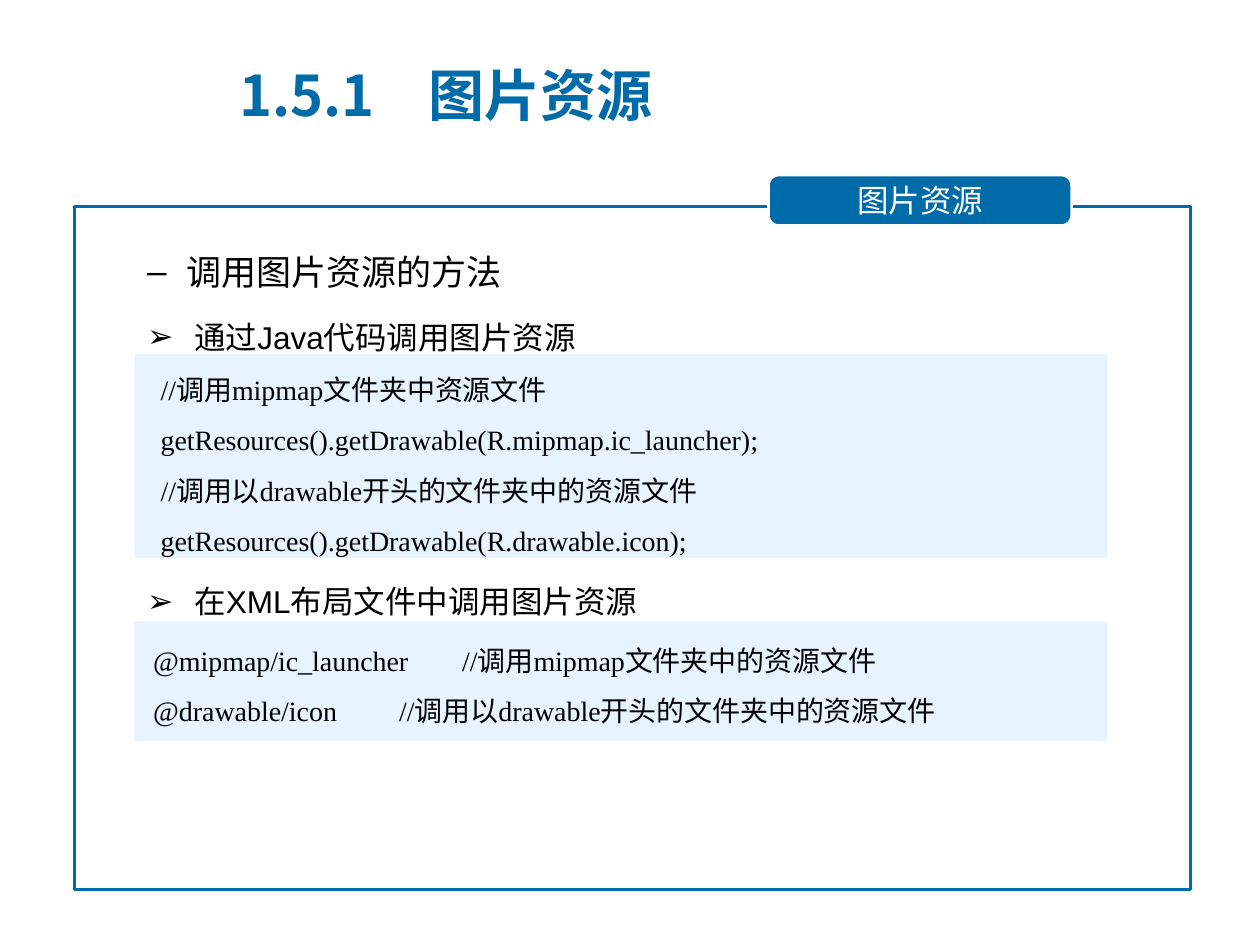
from dataclasses import dataclass

from lxml import etree
from pptx import Presentation
from pptx.dml.color import RGBColor
from pptx.enum.shapes import MSO_SHAPE
from pptx.enum.text import MSO_ANCHOR, MSO_AUTO_SIZE, PP_ALIGN
from pptx.oxml.ns import qn
from pptx.util import Pt

RECT, ROUNDED = MSO_SHAPE.RECTANGLE, MSO_SHAPE.ROUNDED_RECTANGLE
MIDDLE, NO_FIT = MSO_ANCHOR.MIDDLE, MSO_AUTO_SIZE.NONE
LEFT, CENTER = PP_ALIGN.LEFT, PP_ALIGN.CENTER


@dataclass(frozen=True)
class Theme:
    """Colours, fonts and type sizes of the slide."""
    blue: str = "006BA9"
    pale: str = "E7F4FF"
    white: str = "FFFFFF"
    black: str = "000000"
    cjk: str = "Noto Sans CJK SC"
    sans: str = "Arial"
    serif: str = "Times New Roman"
    title: int = 32
    heading: int = 20
    point: int = 18
    code: int = 16
    leading: float = 1.8


class SlideBuilder:
    """Holds the theme and the current slide and draws each kind of element."""

    def __init__(self, theme, slide):
        self.theme, self.slide = theme, slide

    def apply(self, target, values):
        """Set every attribute in a dict of format values."""
        for name, value in values.items():
            setattr(target, name, value)

    def place(self, shape, box):
        """Move and size a shape to a box in points."""
        self.apply(shape, dict(zip(("left", "top", "width", "height"), map(Pt, box))))

    def add_text(self, paragraph, text, size, font, color, bold=False):
        """Add one styled run to a paragraph."""
        run = paragraph.add_run()
        run.text = text
        self.apply(run.font, {"size": Pt(size), "name": font, "bold": bold})
        run.font.color.rgb = RGBColor.from_string(color)
        properties = run._r.get_or_add_rPr()
        etree.SubElement(properties, qn("a:ea"), typeface=self.theme.cjk)
        properties.append(properties.find(qn("a:ea")))

    def layout(self, paragraph, margin=0, indent=0, bullet=None, tab=None):
        """Set the indents, bullet and tab stop of a paragraph."""
        properties = paragraph._p.get_or_add_pPr()
        properties.set("marL", str(Pt(margin)))
        properties.set("indent", str(Pt(indent)))
        if bullet:
            etree.SubElement(properties, qn("a:buFont"), typeface=self.theme.sans)
            etree.SubElement(properties, qn("a:buChar"), char=bullet)
        else:
            etree.SubElement(properties, qn("a:buNone"))
        if tab:
            stops = etree.SubElement(properties, qn("a:tabLst"))
            etree.SubElement(stops, qn("a:tab"), pos=str(Pt(tab)), algn="l")

    def title(self, text, box, tab):
        """Fill and place the title placeholder."""
        title = self.slide.shapes.title
        self.place(title, box)
        self.apply(title.text_frame, {
            "vertical_anchor": MIDDLE, "auto_size": NO_FIT, "word_wrap": True})
        paragraph = title.text_frame.paragraphs[0]
        self.layout(paragraph, tab=tab)
        paragraph.alignment = LEFT
        self.add_text(paragraph, text, self.theme.title, self.theme.cjk, self.theme.blue, True)

    def panel(self, kind, box, fill=None, line=None):
        """Draw a preset shape with an optional fill and outline."""
        panel = self.slide.shapes.add_shape(kind, *map(Pt, box))
        panel.shadow.inherit = False
        if fill:
            panel.fill.solid()
            panel.fill.fore_color.rgb = RGBColor.from_string(fill)
        else:
            panel.fill.background()
        if line:
            panel.line.color.rgb = RGBColor.from_string(line)
            panel.line.width = Pt(1.5)
        else:
            panel.line.fill.background()
        return panel

    def label(self, text, box):
        """Draw the rounded section label."""
        label = self.panel(ROUNDED, box, self.theme.blue, self.theme.white)
        label.adjustments[0] = 0.2
        self.apply(label.text_frame, {"vertical_anchor": MIDDLE, "word_wrap": True})
        paragraph = label.text_frame.paragraphs[0]
        paragraph.alignment = CENTER
        self.add_text(paragraph, text, self.theme.point, self.theme.cjk, self.theme.white)

    def body(self, box, rows, styles):
        """Add the rows of the body, each in a named style."""
        frame = self.slide.shapes.add_textbox(*map(Pt, box)).text_frame
        frame.word_wrap = True
        for number, (style, text, before) in enumerate(rows):
            paragraph = frame.add_paragraph() if number else frame.paragraphs[0]
            size, font, indents = styles[style]
            self.layout(paragraph, **indents)
            self.apply(paragraph, {
                "alignment": LEFT, "space_before": Pt(before),
                "line_spacing": Pt(size * self.theme.leading)})
            self.add_text(paragraph, text, size, font, self.theme.black)


def main():
    """Build the slide and save it."""
    theme = Theme()
    deck = Presentation()
    deck.slide_width, deck.slide_height = Pt(720), Pt(540)
    builder = SlideBuilder(theme, deck.slides.add_slide(deck.slide_layouts[5]))

    builder.title("1.5.1\t图片资源", (129.6, 31.7, 571, 43.9), tab=99.5)
    for top, height in ((202.3, 116.6), (355, 68.4)):
        builder.panel(RECT, (77, top, 555.8, height), theme.pale)

    styles = {
        "heading": (theme.heading, theme.sans,
                    {"margin": 58.5, "indent": -22.5, "bullet": "–"}),
        "point": (theme.point, theme.sans,
                  {"margin": 63, "indent": -27, "bullet": "➢"}),
        "java": (theme.code, theme.serif, {"indent": 43.7}),
        "mipmap": (theme.code, theme.serif, {"indent": 39.5, "tab": 197.5}),
        "drawable": (theme.code, theme.serif, {"indent": 39.5, "tab": 192.5}),
    }
    rows = [
        ("heading", "调用图片资源的方法", 0),
        ("point", "通过Java代码调用图片资源", 3.6),
        ("java", "//调用mipmap文件夹中资源文件", 0),
        ("java", "getResources().getDrawable(R.mipmap.ic_launcher);", 0),
        ("java", "//调用以drawable开头的文件夹中的资源文件", 0),
        ("java", "getResources().getDrawable(R.drawable.icon);", 0),
        ("point", "在XML布局文件中调用图片资源", 3.6),
        ("mipmap", "@mipmap/ic_launcher\t//调用mipmap文件夹中的资源文件", 3.6),
        ("drawable", "@drawable/icon\t//调用以drawable开头的文件夹中的资源文件", 0),
    ]
    builder.body((41, 127.7, 627.8, 381.6), rows, styles)

    builder.panel(RECT, (42.5, 118.1, 637.9, 390.2), line=theme.blue)
    builder.label("图片资源", (439.2, 100.1, 173.2, 28.8))
    deck.save("out.pptx")


if __name__ == "__main__":
    main()
